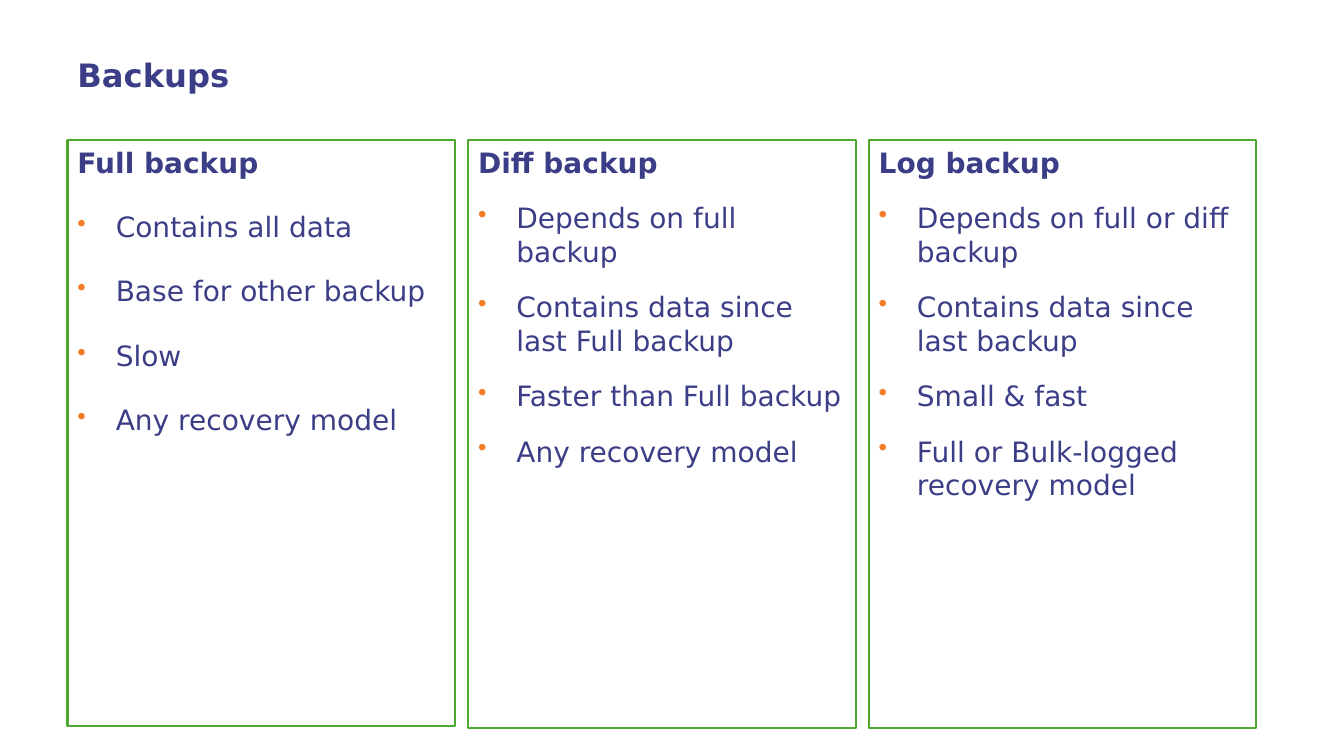
import lxml.etree
import pptx
import pptx.dml.color
import pptx.enum.shapes
import pptx.enum.text
import pptx.oxml.ns
import pptx.util

FONT = "DejaVu Sans"
INK = "3B3E87"
GREEN = "4EA72E"
ORANGE = "F47C28"
WHITE = "FFFFFF"

SLIDE_WIDTH, SLIDE_HEIGHT = 13.33, 7.5
MARGIN = 0.67
TITLE_BOX = (MARGIN, 0.3, 12, 0.93)
CARDS_TOP, CARDS_WIDTH, GAP = 1.39, 11.79, 0.13
BULLET_INDENT = 0.38

# Heading, card height in inches, space before bullets in points, bullets
CARDS = [
    ("Full backup", 5.81, 10,
     ["Contains all data", "Base for other backup", "Slow",
      "Any recovery model"]),
    ("Diff backup", 5.83, 3.6,
     ["Depends on full backup", "Contains data since last Full backup",
      "Faster than Full backup", "Any recovery model"]),
    ("Log backup", 5.83, 3.6,
     ["Depends on full or diff backup", "Contains data since last backup",
      "Small & fast", "Full or Bulk-logged recovery model"]),
]


def color(value):
    return pptx.dml.color.RGBColor.from_string(value)


def inches(box):
    return [pptx.util.Inches(length) for length in box]


def format_runs(paragraph, size, bold):
    for run in paragraph.runs:
        run.font.name = FONT
        run.font.size = pptx.util.Pt(size)
        run.font.bold = bold
        run.font.color.rgb = color(INK)


def add_bullet(paragraph):
    """Give the paragraph a hanging indent and a small orange bullet."""
    properties = paragraph._p.get_or_add_pPr()
    indent = pptx.util.Inches(BULLET_INDENT)
    properties.set("marL", str(indent))
    properties.set("indent", str(-indent))
    qn = pptx.oxml.ns.qn
    bullet_color = lxml.etree.SubElement(properties, qn("a:buClr"))
    lxml.etree.SubElement(bullet_color, qn("a:srgbClr"), val=ORANGE)
    lxml.etree.SubElement(properties, qn("a:buSzPct"), val="90000")
    lxml.etree.SubElement(properties, qn("a:buChar"), char="•")


def add_title(slide, box, text):
    text_frame = slide.shapes.add_textbox(*inches(box)).text_frame
    text_frame.word_wrap = True
    text_frame.vertical_anchor = pptx.enum.text.MSO_ANCHOR.MIDDLE
    text_frame.text = text
    paragraph = text_frame.paragraphs[0]
    paragraph.line_spacing = 0.9
    format_runs(paragraph, 23, True)


def add_card(slide, box, heading, space_before, bullets):
    shape = slide.shapes.add_shape(
        pptx.enum.shapes.MSO_SHAPE.RECTANGLE, *inches(box))
    shape.shadow.inherit = False
    shape.fill.solid()
    shape.fill.fore_color.rgb = color(WHITE)
    shape.line.color.rgb = color(GREEN)
    shape.line.width = pptx.util.Pt(1.5)

    text_frame = shape.text_frame
    text_frame.word_wrap = True
    text_frame.vertical_anchor = pptx.enum.text.MSO_ANCHOR.TOP
    text_frame.text = "\n".join([heading, *bullets])
    for index, paragraph in enumerate(text_frame.paragraphs):
        paragraph.alignment = pptx.enum.text.PP_ALIGN.LEFT
        paragraph.space_after = pptx.util.Pt(12)
        if index > 0:
            paragraph.space_before = pptx.util.Pt(space_before)
            add_bullet(paragraph)
        format_runs(paragraph, 20, index == 0)


def add_cards(slide, left, top, width):
    card_width = (width - GAP * (len(CARDS) - 1)) / len(CARDS)
    for column, (heading, height, space_before, bullets) in enumerate(CARDS):
        box = (left + column * (card_width + GAP), top, card_width, height)
        add_card(slide, box, heading, space_before, bullets)


def main():
    presentation = pptx.Presentation()
    presentation.slide_width = pptx.util.Inches(SLIDE_WIDTH)
    presentation.slide_height = pptx.util.Inches(SLIDE_HEIGHT)
    slide = presentation.slides.add_slide(presentation.slide_layouts[6])
    add_title(slide, TITLE_BOX, "Backups")
    add_cards(slide, MARGIN, CARDS_TOP, CARDS_WIDTH)
    presentation.save("out.pptx")


if __name__ == "__main__":
    main()
